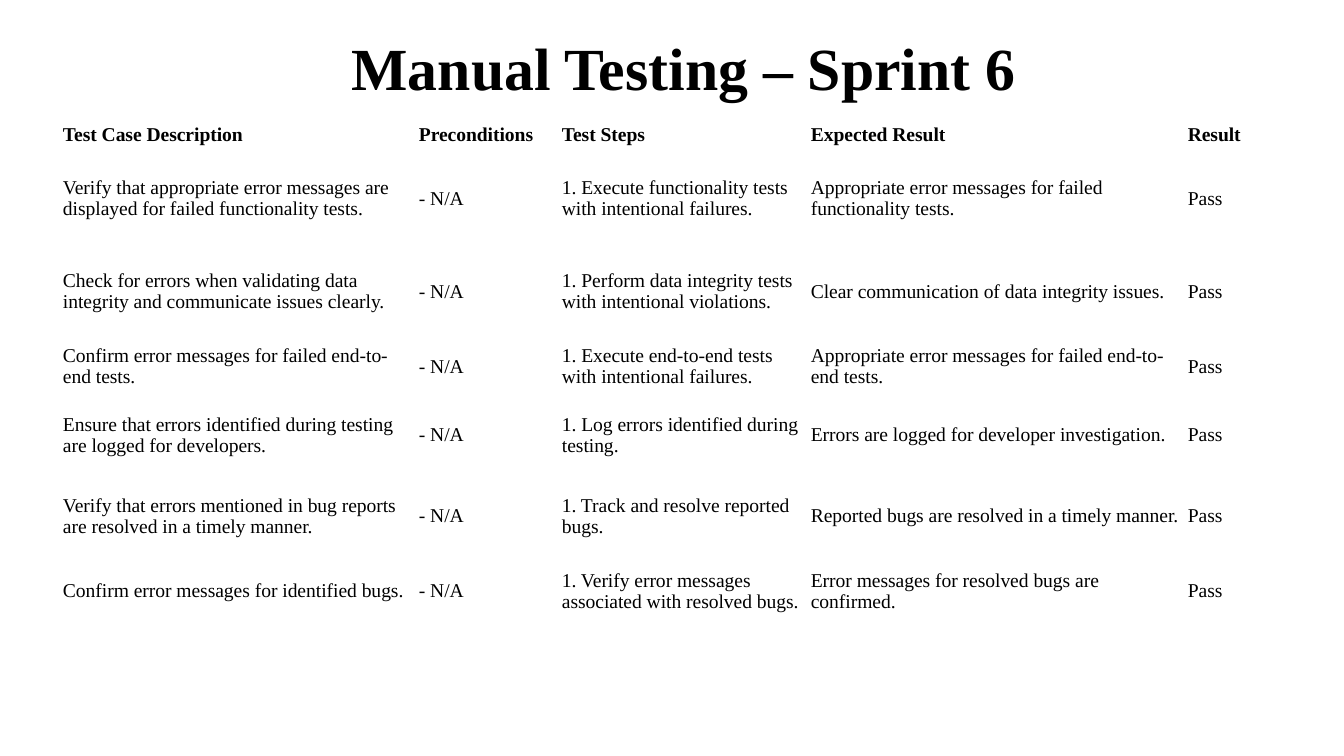
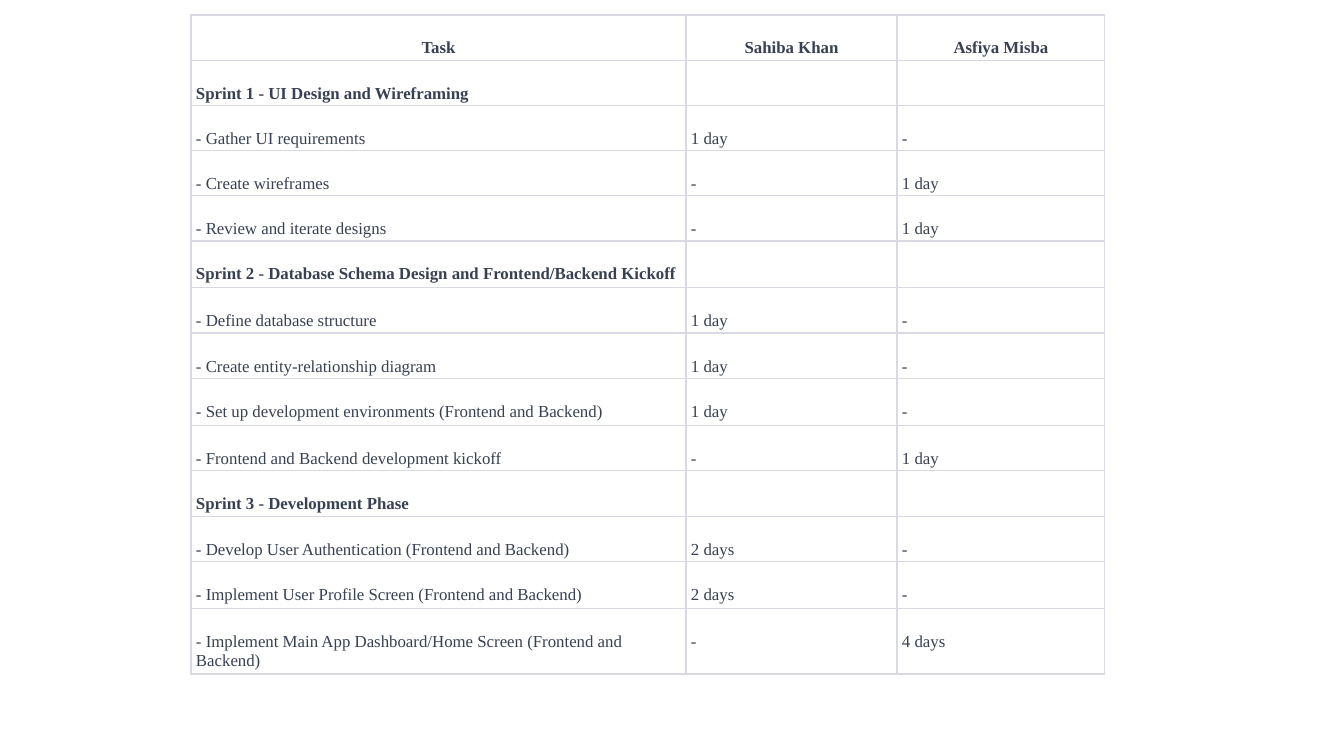
"""Build two slides: a manual test table and a sprint task plan."""
from dataclasses import dataclass

from lxml import etree
from pptx import Presentation
from pptx.dml.color import RGBColor
from pptx.enum.text import MSO_ANCHOR, PP_ALIGN
from pptx.oxml.ns import qn
from pptx.util import Pt

MIDDLE, TOP = MSO_ANCHOR.MIDDLE, MSO_ANCHOR.TOP
LEFT, CENTER = PP_ALIGN.LEFT, PP_ALIGN.CENTER
WIDE, HIGH = 1344, 756
SCALE = 9144000 / WIDE


def px(num):
    return round(num * SCALE)


@dataclass(frozen=True)
class Theme:
    font: str = "Times New Roman"
    ink: str = "000000"
    slate: str = "374151"
    rule: str = "D9D9E3"
    title: float = 32
    body: float = 10.5
    small: float = 9
    line: float = 0.75


@dataclass(frozen=True)
class Look:
    size: float
    color: str
    anchor: int
    pads: tuple
    head: int = LEFT
    rule: str = ""


class Deck:
    def __init__(self, theme):
        self.theme = theme
        self.prs = Presentation()
        self.prs.slide_width, self.prs.slide_height = px(WIDE), px(HIGH)
        self.slide = None

    def page(self):
        self.slide = self.prs.slides.add_slide(self.prs.slide_layouts[6])

    def label(self, para, text, size, color, bold, align):
        para.text = text
        para.alignment = align
        font = para.font
        font.name, font.size, font.bold = self.theme.font, Pt(size), bold
        font.color.rgb = RGBColor.from_string(color)

    def title(self, text, box):
        frame = self.slide.shapes.add_textbox(*map(px, box)).text_frame
        frame.word_wrap = True
        frame.vertical_anchor = MIDDLE
        self.label(frame.paragraphs[0], text, self.theme.title, self.theme.ink, True, CENTER)

    def border(self, cell, color):
        props = cell._tc.get_or_add_tcPr()
        for side in ("lnL", "lnR", "lnT", "lnB"):
            line = etree.SubElement(props, qn(f"a:{side}"), w=str(Pt(self.theme.line)))
            fill = etree.SubElement(line, qn("a:solidFill"))
            etree.SubElement(fill, qn("a:srgbClr"), val=color)

    def cell(self, cell, text, look, bold, align):
        if look.rule:
            self.border(cell, look.rule)
        cell.fill.background()
        cell.vertical_anchor = look.anchor
        pads = map(px, look.pads)
        cell.margin_left, cell.margin_top, cell.margin_right, cell.margin_bottom = pads
        self.label(cell.text_frame.paragraphs[0], text, look.size, look.color, bold, align)

    def table(self, left, top, cols, highs, rows, look):
        box = map(px, (left, top, sum(cols), sum(highs)))
        grid = self.slide.shapes.add_table(len(rows), len(cols), *box).table
        grid.first_row = grid.horz_banding = False
        for col, wide in zip(grid.columns, cols):
            col.width = px(wide)
        for num, (line, high, row) in enumerate(zip(grid.rows, highs, rows)):
            line.height = px(high)
            bold = num == 0 or row[0].startswith("Sprint")
            align = LEFT if num else look.head
            for cell, text in zip(line.cells, row):
                self.cell(cell, text, look, bold, align)


TESTS = [
    ("Verify that appropriate error messages are displayed for failed functionality tests.",
     "1. Execute functionality tests with intentional failures.",
     "Appropriate error messages for failed functionality tests."),
    ("Check for errors when validating data integrity and communicate issues clearly.",
     "1. Perform data integrity tests with intentional violations.",
     "Clear communication of data integrity issues."),
    ("Confirm error messages for failed end-to-end tests.",
     "1. Execute end-to-end tests with intentional failures.",
     "Appropriate error messages for failed end-to-end tests."),
    ("Ensure that errors identified during testing are logged for developers.",
     "1. Log errors identified during testing.",
     "Errors are logged for developer investigation."),
    ("Verify that errors mentioned in bug reports are resolved in a timely manner.",
     "1. Track and resolve reported bugs.",
     "Reported bugs are resolved in a timely manner."),
    ("Confirm error messages for identified bugs.",
     "1. Verify error messages associated with resolved bugs.",
     "Error messages for resolved bugs are confirmed."),
]

TASKS = [
    ("Task", "Sahiba Khan", "Asfiya Misba"),
    ("Sprint 1 - UI Design and Wireframing", "", ""),
    ("- Gather UI requirements", "1 day", "-"),
    ("- Create wireframes", "-", "1 day"),
    ("- Review and iterate designs", "-", "1 day"),
    ("Sprint 2 - Database Schema Design and Frontend/Backend Kickoff", "", ""),
    ("- Define database structure", "1 day", "-"),
    ("- Create entity-relationship diagram", "1 day", "-"),
    ("- Set up development environments (Frontend and Backend)", "1 day", "-"),
    ("- Frontend and Backend development kickoff", "-", "1 day"),
    ("Sprint 3 - Development Phase", "", ""),
    ("- Develop User Authentication (Frontend and Backend)", "2 days", "-"),
    ("- Implement User Profile Screen (Frontend and Backend)", "2 days", "-"),
    ("- Implement Main App Dashboard/Home Screen (Frontend and Backend)", "-", "4 days"),
]


def testing(deck):
    theme = deck.theme
    deck.page()
    deck.title("Manual Testing – Sprint 6", (79, 13, 1210, 108))
    head = ("Test Case Description", "Preconditions", "Test Steps", "Expected Result", "Result")
    rows = [head] + [(case, "- N/A", step, goal, "Pass") for case, step, goal in TESTS]
    look = Look(theme.body, theme.ink, MIDDLE, (4, 1, 2, 1))
    deck.table(59, 121, (356, 143, 249, 377, 122), (28, 99, 87, 63, 75, 87, 63), rows, look)


def plan(deck):
    theme = deck.theme
    deck.page()
    look = Look(theme.small, theme.slate, TOP, (5, 24, 5, 1), CENTER, theme.rule)
    highs = [45] * 5 + [47, 45, 45, 47, 45, 46, 45, 47, 62]
    deck.table(191, 15, (495, 211, 208), highs, TASKS, look)


def main():
    deck = Deck(Theme())
    testing(deck)
    plan(deck)
    deck.prs.save("out.pptx")


if __name__ == "__main__":
    main()
